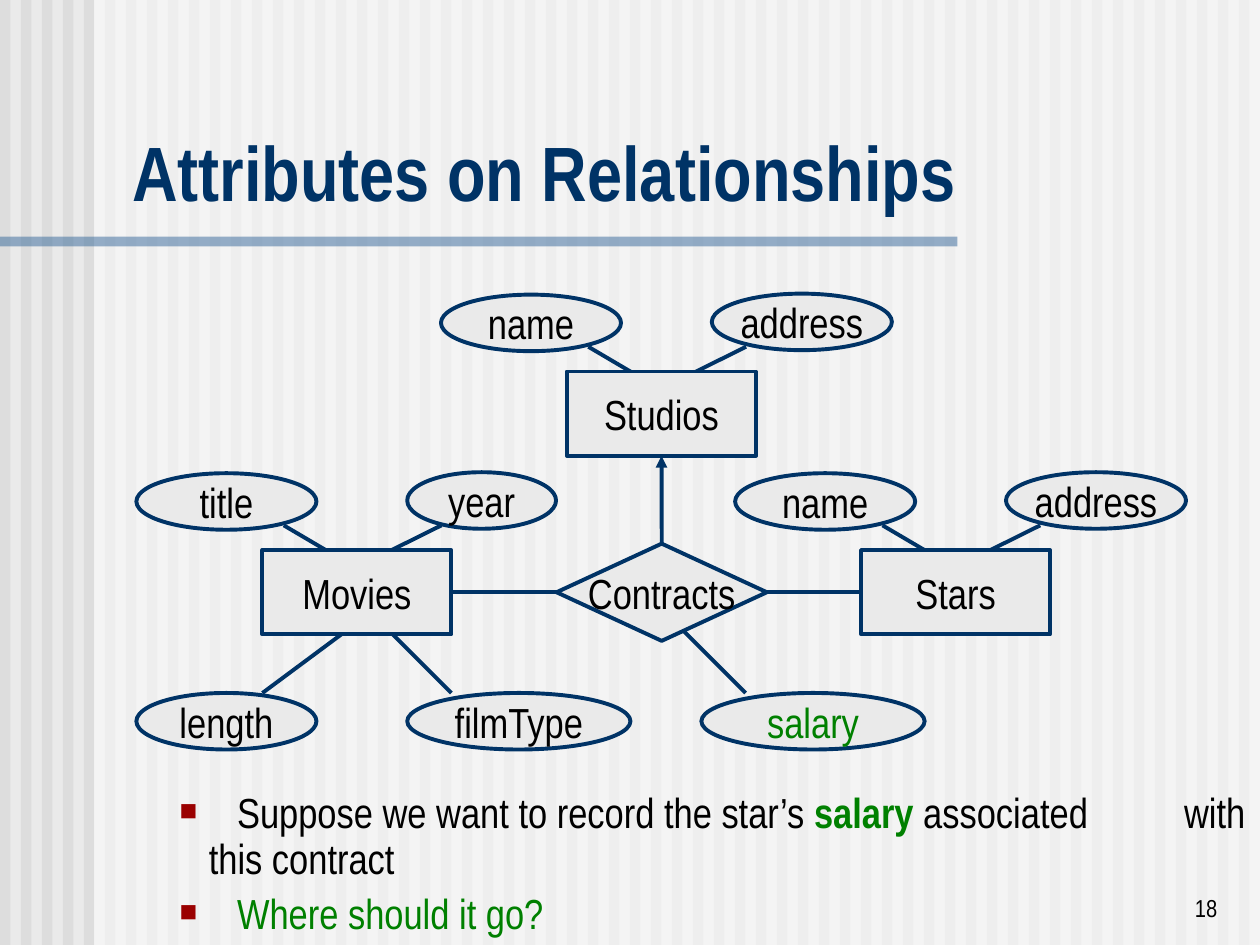
from lxml.etree import SubElement
from pptx import Presentation
from pptx.dml.color import RGBColor
from pptx.enum.shapes import MSO_CONNECTOR, MSO_SHAPE as Preset
from pptx.enum.text import MSO_ANCHOR as Anchor, PP_ALIGN as Align
from pptx.oxml.ns import qn
from pptx.util import Cm, Pt

NAVY = RGBColor(0x00, 0x33, 0x66)
STEEL = RGBColor(0x33, 0x66, 0x99)
GREEN = RGBColor(0x00, 0x80, 0x00)
BLACK = RGBColor(0x00, 0x00, 0x00)
WHITE = RGBColor(0xFF, 0xFF, 0xFF)
PALE = RGBColor(0xEA, 0xEA, 0xEA)
STRIPE = RGBColor(0xDD, 0xDD, 0xDD)
DARK_RED = RGBColor(0x9A, 0x00, 0x00)

FONT = "Arial Narrow"
ENTITY_W, ENTITY_H = 3.81, 1.7
OVAL_W, WIDE_OVAL_W, OVAL_H = 3.63, 4.5, 1.14
LOWER_ROW = 13.97  # top of the attributes below the entities
STRIPE_COUNT = 60


def write(paragraph, text, size=24, color=BLACK, bold=False, align=None):
    run = paragraph.add_run()
    run.text = text
    run.font.name = FONT
    run.font.size = Pt(size)
    run.font.bold = bold
    run.font.color.rgb = color
    if align is not None:
        paragraph.alignment = align


def add_figure(slide, preset, left, top, width, height, fill, alpha=None):
    figure = slide.shapes.add_shape(preset, Cm(left), Cm(top), Cm(width), Cm(height))
    figure.shadow.inherit = False
    figure.fill.solid()
    figure.fill.fore_color.rgb = fill
    figure.line.fill.background()
    if alpha:
        color = figure._element.spPr.find(qn("a:solidFill"))[0]
        SubElement(color, qn("a:alpha"), val=str(alpha * 1000))
    return figure


def add_node(slide, preset, label, left, top, width, height, color=BLACK):
    node = add_figure(slide, preset, left, top, width, height, PALE)
    node.line.color.rgb = NAVY
    node.line.width = Pt(2.25)
    frame = node.text_frame
    frame.word_wrap = False
    frame.vertical_anchor = Anchor.MIDDLE
    write(frame.paragraphs[0], label, color=color, align=Align.CENTER)
    return node


def add_oval(slide, label, left, top, width=OVAL_W, color=BLACK):
    return add_node(slide, Preset.OVAL, label, left, top, width, OVAL_H, color)


def add_link(slide, start=(0, 0), end=(0, 0)):
    link = slide.shapes.add_connector(
        MSO_CONNECTOR.STRAIGHT, *(Cm(value) for value in (*start, *end)))
    link.line.color.rgb = NAVY
    link.line.width = Pt(2.25)
    SubElement(link._element.spPr, qn("a:effectLst"))
    return link


def join(slide, source, source_side, target, target_side, arrow=False):
    link = add_link(slide)
    link.begin_connect(source, source_side)
    link.end_connect(target, target_side)
    if arrow:
        SubElement(link.line._get_or_add_ln(), qn("a:tailEnd"), type="triangle")


def add_entity(slide, label, left, top, first, second, second_width=OVAL_W):
    """Entity box with an attribute above each of its upper corners."""
    add_oval(slide, first, left - 2.54, top - 1.55)
    add_oval(slide, second, left + 2.92, top - 1.57, second_width)
    for outer, inner in ((0.43, 1.5), (3.61, 2.34)):
        add_link(slide, (left + outer, top - 0.5), (left + inner, top + 0.13))
    return add_node(slide, Preset.RECTANGLE, label, left, top, ENTITY_W, ENTITY_H)


def add_text_box(slide, left, top, width, height, anchor=Anchor.TOP):
    box = slide.shapes.add_textbox(Cm(left), Cm(top), Cm(width), Cm(height))
    box.text_frame.word_wrap = True
    box.text_frame.vertical_anchor = anchor
    return box.text_frame


def format_bullet(paragraph):
    props = paragraph._p.get_or_add_pPr()
    props.set("marL", str(Cm(1.27)))
    props.set("indent", str(-Cm(0.59)))
    SubElement(SubElement(props, qn("a:buClr")), qn("a:srgbClr"), val=str(DARK_RED))
    SubElement(props, qn("a:buSzPct"), val="70000")
    SubElement(props, qn("a:buFont"), typeface=FONT)
    SubElement(props, qn("a:buChar"), char="■")
    # Start of the text, and of the last word on the line
    stops = SubElement(props, qn("a:tabLst"))
    for position in (1.84, 20.93):
        SubElement(stops, qn("a:tab"), pos=str(Cm(position)), algn="l")
    paragraph.line_spacing = 0.9


def add_background(slide):
    slide.background.fill.solid()
    slide.background.fill.fore_color.rgb = PALE
    pitch = 25.4 / STRIPE_COUNT
    for index in range(STRIPE_COUNT):
        add_figure(slide, Preset.RECTANGLE, index * pitch, 0, pitch / 2, 19.05, STRIPE)
    add_figure(slide, Preset.RECTANGLE, 1.9, 0, 23.5, 19.05, WHITE, alpha=50)
    add_figure(slide, Preset.RECTANGLE, 0, 4.77, 19.3, 0.2, STEEL, alpha=50)


def add_title(slide, text):
    title = slide.shapes.title
    title.left, title.top = Cm(2.41), Cm(2.39)
    title.width, title.height = Cm(22.68), Cm(2.11)
    title.text_frame.vertical_anchor = Anchor.BOTTOM
    write(title.text_frame.paragraphs[0], text, size=44, color=NAVY, bold=True,
          align=Align.LEFT)
    # Bring the title in front of the background
    slide.shapes._spTree.append(title._element)


def add_diagram(slide):
    # Attributes below the entities
    add_oval(slide, "length", 2.75, LOWER_ROW)
    add_oval(slide, "filmType", 8.21, LOWER_ROW, WIDE_OVAL_W)
    add_oval(slide, "salary", 14.14, LOWER_ROW, WIDE_OVAL_W, GREEN)
    for outer, inner in ((5.29, 7.0), (9.1, 7.83), (15.03, 13.76)):
        add_link(slide, (outer, LOWER_ROW), (inner, 12.7))

    # Entities and the relationship between them
    movies = add_entity(slide, "Movies", 5.29, 11.09, "title", "year", 3.0)
    stars = add_entity(slide, "Stars", 17.36, 11.09, "name", "address")
    studios = add_entity(slide, "Studios", 11.43, 7.49, "name", "address")
    contracts = add_node(slide, Preset.DIAMOND, "Contracts", 11.22, 10.96, 4.24, 1.96)
    join(slide, contracts, 1, movies, 3)
    join(slide, contracts, 3, stars, 1)
    join(slide, contracts, 0, studios, 2, arrow=True)


def add_questions(slide):
    frame = add_text_box(slide, 2.69, 15.85, 22.71, 3.2)
    record = frame.paragraphs[0]
    format_bullet(record)
    write(record, "\tSuppose we want to record the star’s ")
    write(record, "salary", color=GREEN, bold=True)
    write(record, " associated\twith this contract")
    question = frame.add_paragraph()
    format_bullet(question)
    question.space_before = Pt(6)
    write(question, "\tWhere should it go?", color=GREEN)


def main():
    deck = Presentation()
    deck.slide_width, deck.slide_height = Cm(25.4), Cm(19.05)
    slide = deck.slides.add_slide(deck.slide_layouts[5])
    add_background(slide)
    add_title(slide, "Attributes on Relationships")
    add_diagram(slide)
    add_questions(slide)
    # Slide number
    number = add_text_box(slide, 19.5, 17.46, 5.29, 1.27, Anchor.BOTTOM)
    write(number.paragraphs[0], "18", size=14, align=Align.RIGHT)
    deck.save("out.pptx")


if __name__ == "__main__":
    main()
